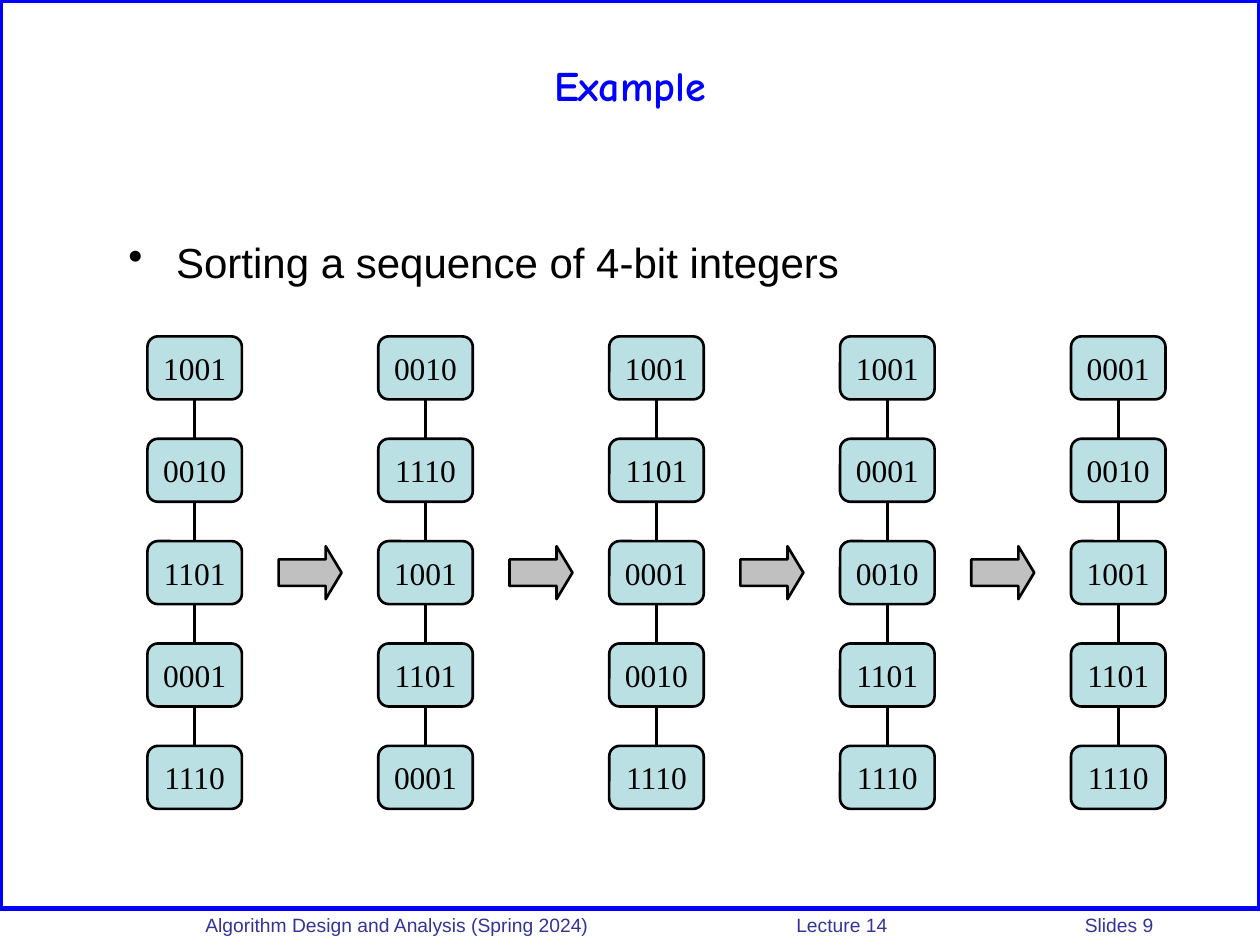
import lxml.etree
import pptx
import pptx.dml.color
import pptx.enum.shapes
import pptx.enum.text
import pptx.oxml.ns
import pptx.util

Inches = pptx.util.Inches
Shapes = pptx.enum.shapes.MSO_SHAPE
Align = pptx.enum.text.PP_ALIGN
Anchor = pptx.enum.text.MSO_ANCHOR
qualified = pptx.oxml.ns.qn

# Content
TITLE = "Example"
BULLET = "Sorting a sequence of 4-bit integers"
FOOTER = ["Algorithm Design and Analysis (Spring 2024)", "Lecture 14", "Slides 9"]
SORT_STAGES = [
    ["1001", "0010", "1101", "0001", "1110"],
    ["0010", "1110", "1001", "1101", "0001"],
    ["1001", "1101", "0001", "0010", "1110"],
    ["1001", "0001", "0010", "1101", "1110"],
    ["0001", "0010", "1001", "1101", "1110"],
]

# Theme: colours, line widths and type
THEME = {
    "frame": "0000FF", "ink": "000000", "box": "BBE0E3", "arrow": "C0C0C0",
    "frame_width": 3, "line_width": 1.5,
    "title": {"name": "Comic Neue", "size": 24, "color": "0000FF", "bold": True},
    "body": {"name": "Arial", "size": 24, "color": "000000"},
    "footer": {"name": "Arial", "size": 11, "color": "333399"},
    "number": {"name": "Times New Roman", "size": 18, "color": "000000"},
}

# Layout in inches
FIRST_LEFT, LAST_LEFT = 1.17, 8.5
FIRST_TOP, LAST_TOP = 2.67, 5.92
BOX_WIDTH, BOX_HEIGHT = 0.75, 0.5
ARROW_WIDTH, ARROW_HEIGHT = 0.5, 0.42
COLUMN_STEP = (LAST_LEFT - FIRST_LEFT) / (len(SORT_STAGES) - 1)
ROW_STEP = (LAST_TOP - FIRST_TOP) / (len(SORT_STAGES[0]) - 1)
FOOTER_TABS = [4.69, 6.98]
BULLET_INDENT = 0.38


def rgb(value):
    return pptx.dml.color.RGBColor.from_string(value)


def set_line(line, color, width):
    line.color.rgb = rgb(color)
    line.width = pptx.util.Pt(width)


def write_text(shape, text, style, alignment=Align.LEFT, **frame_format):
    frame = shape.text_frame
    for name, value in frame_format.items():
        setattr(frame, name, value)
    paragraph = frame.paragraphs[0]
    paragraph.text = text
    paragraph.alignment = alignment
    font_format = dict(THEME[style])
    font_format["size"] = pptx.util.Pt(font_format["size"])
    paragraph.runs[0].font.color.rgb = rgb(font_format.pop("color"))
    for name, value in font_format.items():
        setattr(paragraph.runs[0].font, name, value)
    return paragraph


def add_text(slide, bounds, text, style, **options):
    box = slide.shapes.add_textbox(*map(Inches, bounds))
    return write_text(box, text, style, word_wrap=True, **options)


def add_outlined(shapes, kind, bounds, fill, line, width):
    shape = shapes.add_shape(kind, *map(Inches, bounds))
    shape.shadow.inherit = False
    if fill:
        shape.fill.solid()
        shape.fill.fore_color.rgb = rgb(fill)
    else:
        shape.fill.background()
    set_line(shape.line, line, width)
    return shape


def add_stage(slide, left, numbers):
    shapes = slide.shapes.add_group_shape().shapes
    center = left + BOX_WIDTH / 2
    ends = (center, FIRST_TOP + BOX_HEIGHT, center, LAST_TOP)
    link = shapes.add_connector(pptx.enum.shapes.MSO_CONNECTOR.STRAIGHT, *map(Inches, ends))
    set_line(link.line, THEME["ink"], THEME["line_width"])
    lxml.etree.SubElement(link._element.spPr, qualified("a:effectLst"))
    for row, number in enumerate(numbers):
        bounds = (left, FIRST_TOP + row * ROW_STEP, BOX_WIDTH, BOX_HEIGHT)
        box = add_outlined(shapes, Shapes.ROUNDED_RECTANGLE, bounds,
                           THEME["box"], THEME["ink"], THEME["line_width"])
        write_text(box, number, "number", Align.CENTER, word_wrap=False,
                   vertical_anchor=Anchor.MIDDLE, margin_left=0, margin_right=0)


def add_step_arrow(slide, left):
    gap = COLUMN_STEP - BOX_WIDTH
    middle = (FIRST_TOP + LAST_TOP + BOX_HEIGHT) / 2
    bounds = (left + BOX_WIDTH + (gap - ARROW_WIDTH) / 2, middle - ARROW_HEIGHT / 2,
              ARROW_WIDTH, ARROW_HEIGHT)
    arrow = add_outlined(slide.shapes, Shapes.RIGHT_ARROW, bounds,
                         THEME["arrow"], THEME["ink"], THEME["line_width"])
    arrow.adjustments[0] = 0.5
    arrow.adjustments[1] = 0.3


def main():
    presentation = pptx.Presentation()
    presentation.slide_width, presentation.slide_height = Inches(10), Inches(7.5)
    slide = presentation.slides.add_slide(presentation.slide_layouts[6])

    # Frame and footer
    add_outlined(slide.shapes, Shapes.RECTANGLE, (0, 0, 10, 7.21),
                 None, THEME["frame"], THEME["frame_width"])
    footer = add_text(slide, (1.33, 7.2, 8.67, 0.26), "\t".join(FOOTER), "footer",
                      margin_left=Inches(0.3))
    tab_list = lxml.etree.SubElement(footer._p.get_or_add_pPr(), qualified("a:tabLst"))
    for position in FOOTER_TABS:
        lxml.etree.SubElement(tab_list, qualified("a:tab"),
                              pos=str(Inches(position)), algn="l")

    # Title and bullet
    add_text(slide, (0.5, 0.17, 9, 1), TITLE, "title",
             alignment=Align.CENTER, vertical_anchor=Anchor.MIDDLE)
    bullet = add_text(slide, (0.92, 1.83, 8.5, 0.58), BULLET, "body")
    properties = bullet._p.get_or_add_pPr()
    properties.set("marL", str(Inches(BULLET_INDENT)))
    properties.set("indent", str(-Inches(BULLET_INDENT)))
    lxml.etree.SubElement(properties, qualified("a:buChar"), char="•")

    # Sorting stages, with an arrow between neighbours
    lefts = [FIRST_LEFT + column * COLUMN_STEP for column in range(len(SORT_STAGES))]
    for left, numbers in zip(lefts, SORT_STAGES):
        add_stage(slide, left, numbers)
    for left in lefts[:-1]:
        add_step_arrow(slide, left)

    presentation.save("out.pptx")


if __name__ == "__main__":
    main()
